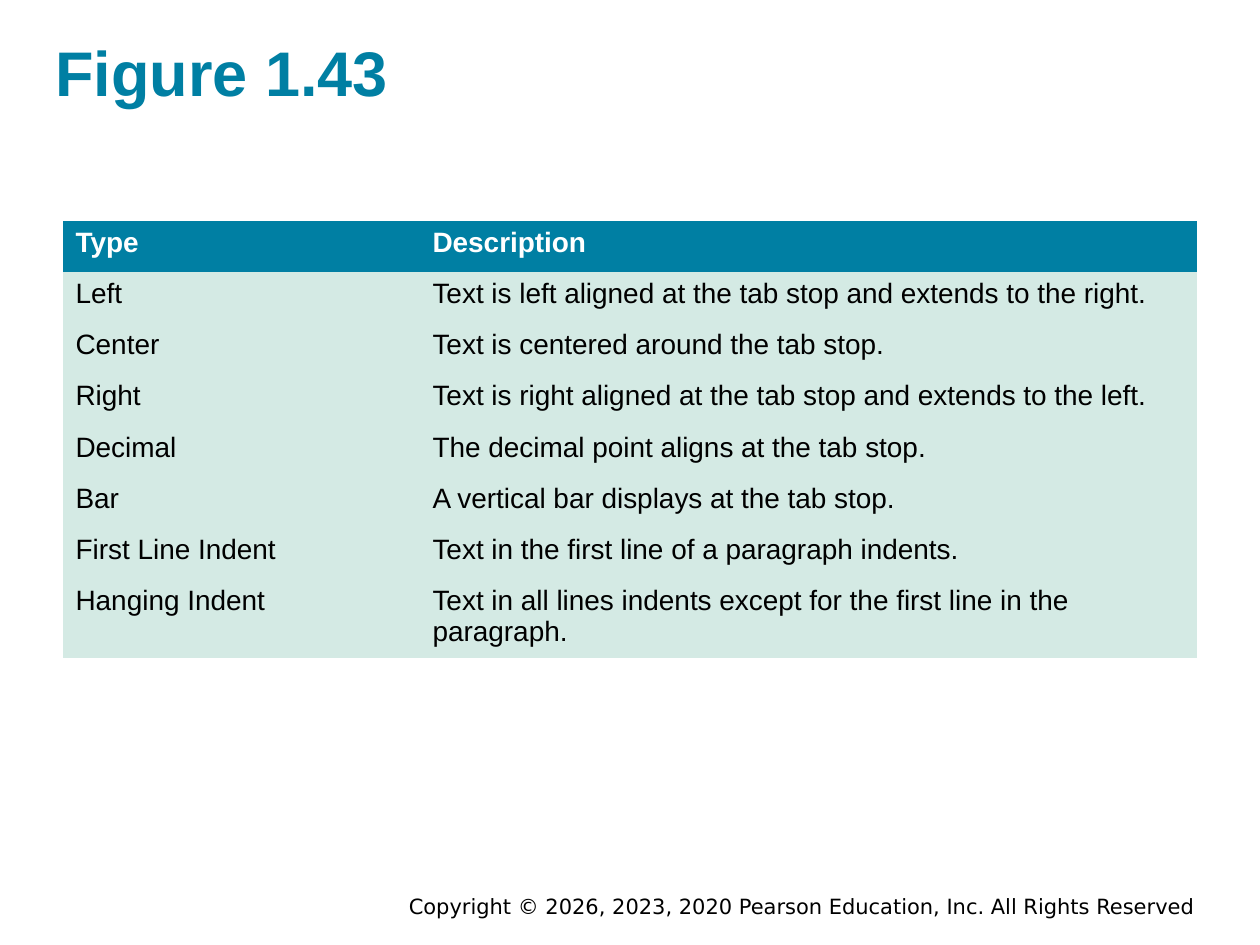
"""Build the Figure 1.43 slide with its table of tab stop types."""
from pptx import Presentation
from pptx.dml.color import RGBColor
from pptx.enum.text import MSO_ANCHOR, MSO_AUTO_SIZE, PP_ALIGN
from pptx.util import Pt

LEFT, RIGHT = PP_ALIGN.LEFT, PP_ALIGN.RIGHT
MIDDLE = MSO_ANCHOR.MIDDLE
NO_AUTOFIT = MSO_AUTO_SIZE.NONE

TITLE = "Figure 1.43"
COPYRIGHT = "Copyright © 2026, 2023, 2020 Pearson Education, Inc. All Rights Reserved"
ROWS = [
    ("Type", "Description"),
    ("Left", "Text is left aligned at the tab stop and extends to the right."),
    ("Center", "Text is centered around the tab stop."),
    ("Right", "Text is right aligned at the tab stop and extends to the left."),
    ("Decimal", "The decimal point aligns at the tab stop."),
    ("Bar", "A vertical bar displays at the tab stop."),
    ("First Line Indent", "Text in the first line of a paragraph indents."),
    ("Hanging Indent", "Text in all lines indents except for the first line in the paragraph."),
]
COLORS = {"teal": "007FA3", "mint": "D4EAE4", "white": "FFFFFF", "black": "000000"}
COLUMN_WIDTHS = (204, 444)
ROW_HEIGHT, LAST_ROW_HEIGHT = 29.2, 45.4
PLAIN_TABLE_STYLE = "{2D5ABB26-0587-4C30-8999-92F81FD0307C}"


def color(name):
    """Return the named colour."""
    return RGBColor.from_string(COLORS[name])


def write(text_frame, text, font_name, size, color_name, bold=False, alignment=LEFT):
    """Put one formatted paragraph in a text frame."""
    text_frame.text = text
    paragraph = text_frame.paragraphs[0]
    paragraph.alignment = alignment
    font = paragraph.runs[0].font
    font.name, font.size, font.bold = font_name, Pt(size), bold
    font.color.rgb = color(color_name)


def place(shape, left, top, width, height):
    """Position a text shape and give it thin margins."""
    shape.left, shape.top, shape.width, shape.height = map(Pt, (left, top, width, height))
    text_frame = shape.text_frame
    text_frame.word_wrap = True
    text_frame.auto_size = NO_AUTOFIT
    text_frame.vertical_anchor = MIDDLE
    text_frame.margin_left = text_frame.margin_right = 0
    text_frame.margin_top = text_frame.margin_bottom = Pt(1.44)


def add_tab_table(slide):
    """Add the table with a teal header and mint body."""
    height = ROW_HEIGHT * (len(ROWS) - 1) + LAST_ROW_HEIGHT
    frame = slide.shapes.add_table(
        len(ROWS), len(COLUMN_WIDTHS), Pt(36), Pt(126.4), Pt(sum(COLUMN_WIDTHS)), Pt(height))
    table = frame.table
    table.horz_banding = False
    table._tbl.tblPr[0].text = PLAIN_TABLE_STYLE
    for column, width in zip(table.columns, COLUMN_WIDTHS):
        column.width = Pt(width)
    for row_index, texts in enumerate(ROWS):
        header = row_index == 0
        last = row_index == len(ROWS) - 1
        table.rows[row_index].height = Pt(LAST_ROW_HEIGHT if last else ROW_HEIGHT)
        for column_index, text in enumerate(texts):
            cell = table.cell(row_index, column_index)
            cell.fill.solid()
            cell.fill.fore_color.rgb = color("teal" if header else "mint")
            write(cell.text_frame, text, "Arial", 16, "white" if header else "black", header)


def main():
    """Build and save the presentation."""
    presentation = Presentation()
    presentation.slide_width, presentation.slide_height = Pt(720), Pt(540)
    slide = presentation.slides.add_slide(presentation.slide_layouts[5])
    title = slide.shapes.title
    place(title, 31.7, 17.3, 648, 46.8)
    write(title.text_frame, TITLE, "Arial", 36, "teal", bold=True)
    add_tab_table(slide)
    footer = slide.shapes.add_textbox(0, 0, 0, 0)
    place(footer, 195, 509, 488, 17.3)
    write(footer.text_frame, COPYRIGHT, "DejaVu Sans", 12, "black", alignment=RIGHT)
    presentation.save("out.pptx")


if __name__ == "__main__":
    main()
